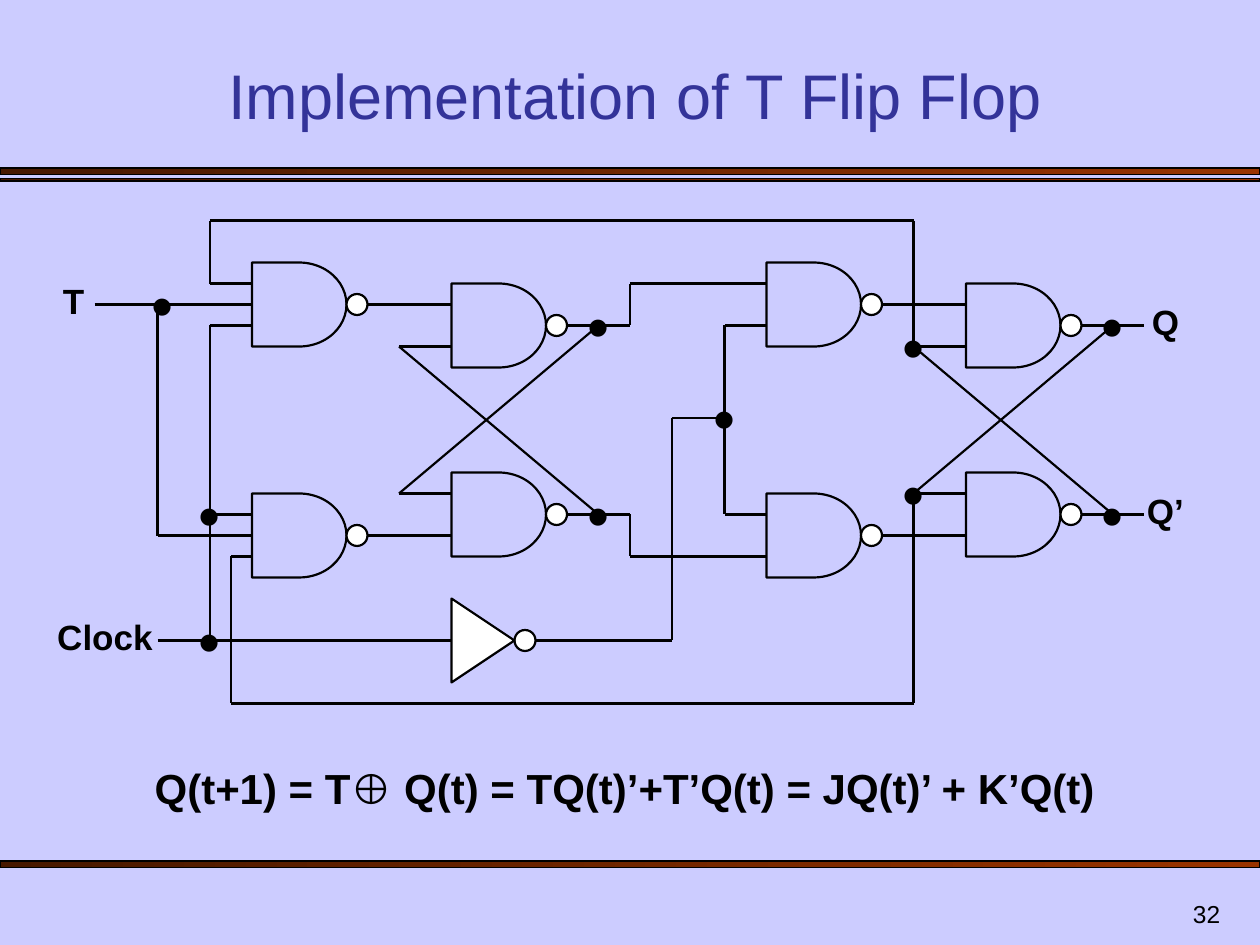
import dataclasses
import itertools
import typing

import lxml.etree
import pptx
import pptx.dml.color
import pptx.enum.shapes
import pptx.enum.text
import pptx.oxml.ns
import pptx.util

CELL = 2.54 / 12  # grid pitch in cm: twelve cells to the inch
FONT = "Arial"
COLORS = {
    "back": "CCCCFF",
    "title": "333399",
    "ink": "000000",
    "white": "FFFFFF",
    "dark": "471800",
    "rust": "993300",
}
KIND = pptx.enum.shapes.MSO_SHAPE
ALIGN = pptx.enum.text.PP_ALIGN
ANCHOR = pptx.enum.text.MSO_ANCHOR
Point = tuple[float, float]


@dataclasses.dataclass(frozen=True)
class Box:
    left: float
    top: float
    width: float
    height: float


@dataclasses.dataclass(frozen=True)
class Label:
    text: str
    box: Box
    size: int = 20
    bold: bool = True
    align: typing.Any = ALIGN.CENTER
    anchor: typing.Any = ANCHOR.TOP


BARS = [Box(0, 16, 120, 0.6), Box(0, 17, 120, 0.24), Box(0, 82, 120, 0.6)]

LABELS = [
    Label("T", Box(4, 26, 6, 5.3)),
    Label("Clock", Box(4, 58, 12, 5.3)),
    Label("Q", Box(108, 28, 6, 5.3)),
    Label("Q’", Box(108, 46, 6, 5.3)),
    Label("Q(t+1) = T⊕ Q(t) = TQ(t)’+T’Q(t) = JQ(t)’ + K’Q(t)",
          Box(10, 72, 99, 6), size=24),
    Label("32", Box(92.4, 84, 25, 5), 14, False, ALIGN.RIGHT, ANCHOR.BOTTOM),
]

STAGE = 49  # cells from the master stage to the slave stage
# Middle of each gate's left side
GATES = [(x + shift, y) for shift in (0, STAGE)
         for x, y in ((24, 29), (24, 51), (43, 31), (43, 49))]

LATCH = [
    [(35, 29), (43, 29)],
    [(35, 51), (43, 51)],
    [(43, 33), (38, 33), (57, 49)],
    [(43, 47), (38, 47), (57, 31)],
    [(54, 31), (60, 31)],
    [(54, 49), (60, 49)],
]
WIRES = [[(x + shift, y) for x, y in route]
         for shift in (0, STAGE) for route in LATCH] + [
    [(9, 29), (24, 29)],
    [(15, 29), (15, 51), (24, 51)],
    [(24, 31), (20, 31), (20, 61)],
    [(20, 49), (24, 49)],
    [(15, 61), (43, 61)],
    [(51, 61), (64, 61), (64, 39.8), (69, 39.8)],
    [(73, 31), (69, 31), (69, 49), (73, 49)],
    [(60, 31), (60, 27), (73, 27)],
    [(60, 49), (60, 53), (73, 53)],
    [(24, 27), (20, 27), (20, 21), (87, 21), (87, 33)],
    [(24, 53), (22, 53), (22, 67), (87, 67), (87, 47)],
]
DOTS = [(57, 31), (57, 49), (106, 31), (106, 49), (69, 39.8),
        (20, 49), (20, 61), (87, 33), (87, 47), (15.5, 29)]


def grid(cells: float) -> pptx.util.Length:
    return pptx.util.Cm(cells * CELL)


def place(box: Box) -> list[pptx.util.Length]:
    return [grid(n) for n in dataclasses.astuple(box)]


def color(name: str) -> pptx.dml.color.RGBColor:
    return pptx.dml.color.RGBColor.from_string(COLORS[name])


def style(shape, fill: str | None, width: float = 1.25) -> None:
    shape.shadow.inherit = False
    if fill:
        shape.fill.solid()
        shape.fill.fore_color.rgb = color(fill)
    else:
        shape.fill.background()
    shape.line.color.rgb = color("ink")
    shape.line.width = pptx.util.Pt(width)


def write(frame, text: str, size: int, tint: str, bold: bool, align) -> None:
    para = frame.paragraphs[0]
    para.text = text
    para.alignment = align
    para.font.name = FONT
    para.font.size = pptx.util.Pt(size)
    para.font.bold = bold
    para.font.color.rgb = color(tint)


def add_label(slide, label: Label) -> None:
    frame = slide.shapes.add_textbox(*place(label.box)).text_frame
    frame.word_wrap = True
    frame.vertical_anchor = label.anchor
    write(frame, label.text, label.size, "ink", label.bold, label.align)


def add_dot(slide, x: float, y: float) -> None:
    """Mark a junction with a bullet centred on the point."""
    add_label(slide, Label("•", Box(x - 3, y - 4.3, 6, 8.4), 36, False))


def add_bar(slide, box: Box) -> None:
    bar = slide.shapes.add_shape(KIND.RECTANGLE, *place(box))
    style(bar, None, 0.75)
    bar.fill.gradient()
    bar.fill.gradient_angle = 0
    for stop, name in zip(bar.fill.gradient_stops, ("dark", "rust")):
        stop.color.rgb = color(name)


def add_ring(group, x: float, y: float) -> None:
    """Draw the inverting circle whose left side is at the point."""
    ring = group.shapes.add_shape(KIND.OVAL, *place(Box(x, y - 1, 2, 2)))
    style(ring, "white")


def add_gate(slide, x: float, y: float):
    group = slide.shapes.add_group_shape()
    body = group.shapes.add_shape(
        KIND.FLOWCHART_DELAY, *place(Box(x, y - 4, 9, 8)))
    style(body, None)
    add_ring(group, x + 9, y)
    return body


def add_inverter(slide, x: float, y: float) -> None:
    group = slide.shapes.add_group_shape()
    add_ring(group, x + 6, y)
    path = group.shapes.build_freeform(x, y - 4, scale=grid(1))
    path.add_line_segments([(x, y + 4), (x + 6, y)], close=True)
    style(path.convert_to_shape(), "white")


def add_wire(slide, start: Point, end: Point, gates: dict) -> None:
    """Draw one segment, joined to a gate where it meets its left middle."""
    wire = slide.shapes.add_connector(
        pptx.enum.shapes.MSO_CONNECTOR.STRAIGHT,
        *(grid(n) for n in start + end))
    wire.line.color.rgb = color("ink")
    wire.line.width = pptx.util.Pt(1.25)
    lxml.etree.SubElement(
        wire._element.spPr, pptx.oxml.ns.qn("a:effectLst"))
    if end in gates:
        wire.end_connect(gates[end], 1)


def main() -> None:
    deck = pptx.Presentation()
    deck.slide_width, deck.slide_height = grid(120), grid(90)
    slide = deck.slides.add_slide(deck.slide_layouts.get_by_name("Title Only"))
    slide.background.fill.solid()
    slide.background.fill.fore_color.rgb = color("back")

    title = slide.shapes.title
    title.left, title.top, title.width, title.height = place(
        Box(7, 5, 107, 8.2))
    title.text_frame.vertical_anchor = ANCHOR.BOTTOM
    write(title.text_frame, "Implementation of T Flip Flop", 36, "title",
          False, ALIGN.CENTER)

    for bar in BARS:
        add_bar(slide, bar)
    gates = {spot: add_gate(slide, *spot) for spot in GATES}
    add_inverter(slide, 43, 61)
    for route in WIRES:
        for start, end in itertools.pairwise(route):
            add_wire(slide, start, end, gates)
    for dot in DOTS:
        add_dot(slide, *dot)
    for label in LABELS:
        add_label(slide, label)
    deck.save("out.pptx")


if __name__ == "__main__":
    main()
